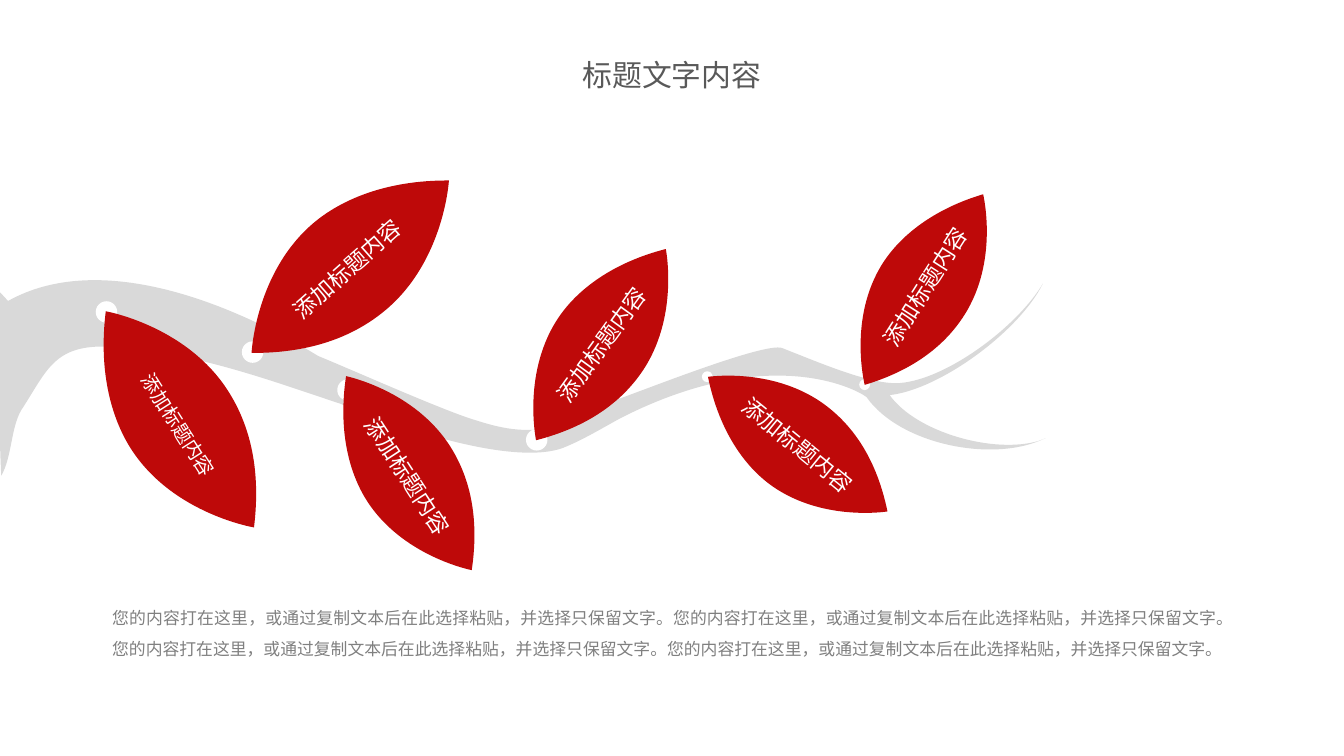
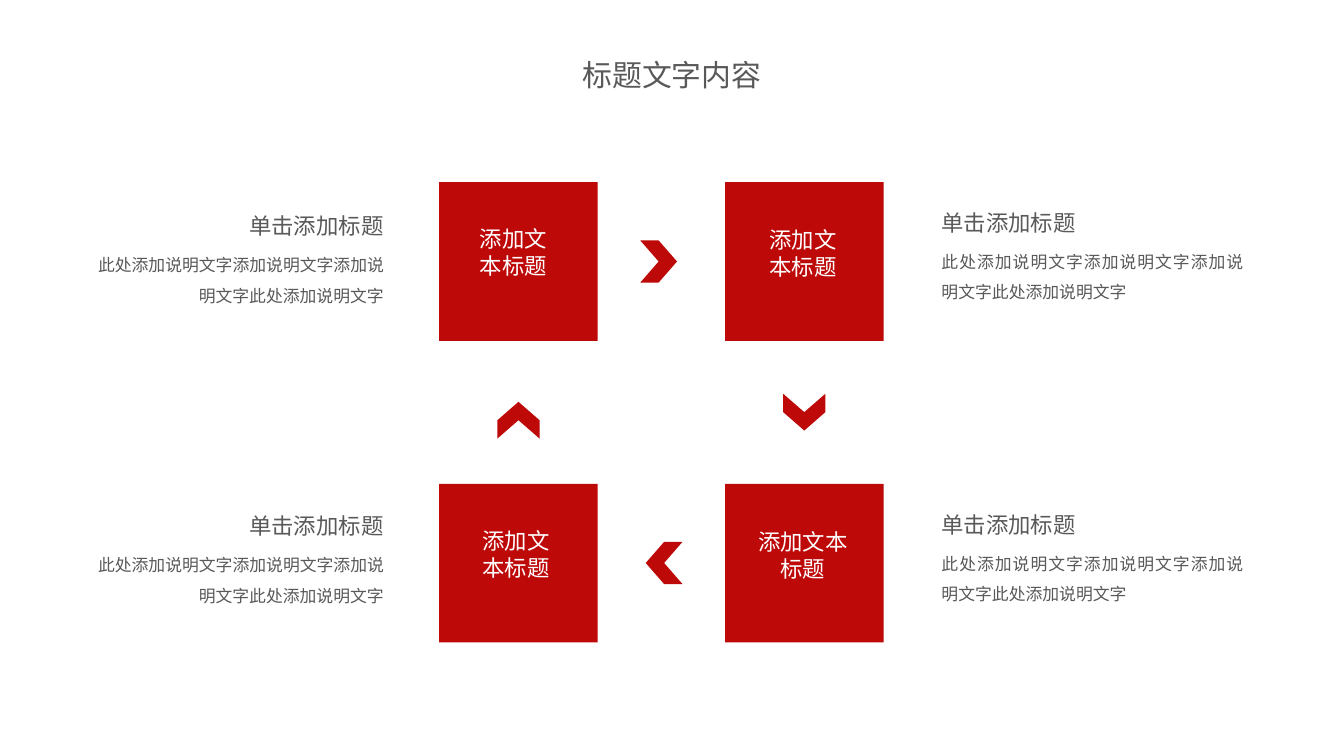
from dataclasses import dataclass
from math import cos, radians, sin

from lxml.etree import SubElement
from pptx import Presentation
from pptx.dml.color import RGBColor
from pptx.enum.shapes import MSO_SHAPE
from pptx.enum.text import MSO_ANCHOR, PP_ALIGN
from pptx.oxml.ns import qn
from pptx.util import Pt

COLORS = {"red": "BE0909", "branch": "D9D9D9", "white": "FFFFFF",
          "dark": "595959", "gray": "808080"}
SANS = "Noto Sans CJK SC"
SERIF = "Times New Roman"
Point = tuple[float, float]
Curve = tuple[Point, Point, Point]


@dataclass(frozen=True)
class Frame:
    left: float
    top: float
    width: float
    height: float
    rotation: float = 0

    def lengths(self) -> list[Pt]:
        return [Pt(value) for value in (self.left, self.top, self.width, self.height)]


@dataclass(frozen=True)
class Style:
    size: float
    color: str
    align: PP_ALIGN = PP_ALIGN.CENTER
    font: str = SANS
    line_spacing: float | None = None
    space_before: float | None = None


@dataclass(frozen=True)
class Leaf:
    blade: Frame
    label: Frame
    size: float = 12


@dataclass(frozen=True)
class Step:
    left: float
    top: float
    label: Frame
    lines: tuple[str, ...]
    filled: bool = True


@dataclass(frozen=True)
class Note:
    frame: Frame
    align: PP_ALIGN


# Shared drawing helpers
def paint(shape, color: str) -> None:
    shape.shadow.inherit = False
    shape.fill.solid()
    shape.fill.fore_color.rgb = RGBColor.from_string(COLORS[color])
    shape.line.fill.background()


def add_preset(shapes, kind: MSO_SHAPE, frame: Frame, color: str):
    shape = shapes.add_shape(kind, *frame.lengths())
    shape.rotation = frame.rotation
    paint(shape, color)
    return shape


def write(box, lines: list[tuple[str, Style]]) -> None:
    text_frame = box.text_frame
    text_frame.word_wrap = True
    text_frame.vertical_anchor = MSO_ANCHOR.TOP
    for index, (text, style) in enumerate(lines):
        para = text_frame.add_paragraph() if index else text_frame.paragraphs[0]
        para.alignment = style.align
        if style.line_spacing:
            para.line_spacing = style.line_spacing
        if style.space_before:
            para.space_before = Pt(style.space_before)
        span = para.add_run()
        span.text = text
        span.font.size = Pt(style.size)
        span.font.name = style.font
        span.font.color.rgb = RGBColor.from_string(COLORS[style.color])
        SubElement(span.font._element, qn("a:ea")).set("typeface", SANS)


def add_text(shapes, frame: Frame, lines: list[tuple[str, Style]]):
    box = shapes.add_textbox(*frame.lengths())
    box.rotation = frame.rotation
    write(box, lines)
    return box


def add_curves(shapes, frame: Frame, start: Point, curves: list[Curve], color: str) -> None:
    """Draw a closed outline whose points are shares of the frame."""
    left, top, width, height = frame.lengths()
    builder = shapes.build_freeform(left, top, scale=1.0)
    builder.add_line_segments([(left + width, top), (left + width, top + height),
                               (left, top + height)], close=True)
    shape = builder.convert_to_shape()
    shape.rotation = frame.rotation
    paint(shape, color)
    # Replace the straight frame by Bézier curves
    outline = next(shape._element.iter(qn("a:path")))
    for child in list(outline):
        outline.remove(child)
    commands = [("a:moveTo", (start,))] + [("a:cubicBezTo", curve) for curve in curves]
    for command, points in commands:
        segment = SubElement(outline, qn(command))
        for x, y in points:
            corner = SubElement(segment, qn("a:pt"))
            corner.set("x", str(round(x * width)))
            corner.set("y", str(round(y * height)))
    SubElement(outline, qn("a:close"))


def add_page(deck):
    page = deck.slides.add_slide(deck.slide_layouts[6])
    add_text(page.shapes, Frame(257.8, 26.6, 204.5, 26.6),
             [("标题文字内容", Style(16, "dark"))])
    return page


# Branch, with points as they lie on the slide after turning
BRANCH = Frame(-5.8, 97.9, 567.4, 210.2, 11.3)
BRANCH_START = (178, 214.5)
BRANCH_CURVES = [
    ((204.5, 226), (276.5, 252), (304, 239)),
    ((314, 234.7), (323.3, 229), (332.6, 224)),
    ((417.6, 180.7), (465, 212.4), (464.4, 213)),
    ((482.4, 238.3), (532.8, 248.4), (560.2, 234.7)),
    ((559.4, 235.4), (558, 235.4), (556.6, 236.2)),
    ((532.8, 243.4), (491, 231.8), (476.6, 211.7)),
    ((503.3, 208.8), (545.8, 177.8), (558.7, 152)),
    ((545, 175), (507.6, 203), (482.4, 205.2)),
    ((467.3, 206.6), (439.2, 194.4), (419, 186.5)),
    ((409.7, 182.9), (338.4, 211.7), (329, 214.6)),
    ((321, 216.7), (314, 221), (306.7, 224.6)),
    ((289.4, 233.3), (272.9, 231), (255.6, 225.4)),
    ((239.8, 221), (191.5, 199.4), (170.6, 190.8)),
    ((168.5, 190), (69.8, 124.6), (4.3, 161.3)),
    ((4.3, 161.3), (-1.4, 154.8), (-2.2, 154.8)),
    ((-0.7, 181.4), (-0.7, 228.2), (0.7, 254.9)),
    ((6.5, 244.8), (5.8, 229), (11.5, 219.6)),
    ((25.2, 198.7), (28.8, 184.3), (59, 185.8)),
    ((103, 188.6), (140.4, 202.3), (181.4, 216)),
]

# Leaf outline in shares of its width and height
LEAF_START = (0.5, 0)
LEAF_CURVES = [
    ((0.21, 0), (0, 0.51), (0, 0.51)),
    ((0.18, 0.87), (0.36, 1), (0.5, 1)),
    ((0.79, 1), (1, 0.48), (1, 0.48)),
    ((0.82, 0.12), (0.65, 0), (0.5, 0)),
]
LEAVES = [
    Leaf(Frame(117.2, 112.4, 140.4, 60.5, 139.6), Frame(149.6, 136.9, 72.7, 14.4, 318.4)),
    Leaf(Frame(259.8, 157.8, 123.8, 53.3, 124.9), Frame(285.8, 177.3, 72.7, 14.4, 305.9)),
    Leaf(Frame(434.6, 129.1, 120.2, 51.8, 122.6), Frame(459.3, 146.4, 72.7, 14.4, 302.5)),
    Leaf(Frame(25.9, 194.6, 140.4, 60.5, 56.3), Frame(63.8, 221.1, 63.4, 13, 57.5), 10.5),
    Leaf(Frame(156.9, 227, 123.8, 53.3, 57.8), Frame(182.2, 247.8, 72.7, 14.4, 56.9)),
    Leaf(Frame(367.1, 212.3, 120.2, 51.8, 37.6), Frame(391, 231.1, 72.7, 14.4, 39.3)),
]
# Left, top and diameter of each bud
BUDS = [(129.6, 182.9, 11.5), (51.3, 161.4, 11.5), (180.7, 203.2, 11.5),
        (281.8, 229.9, 11.5), (376, 198.9, 5.8), (460.3, 203.2, 5.8)]
SUMMARY = "您的内容打在这里，或通过复制文本后在此选择粘贴，并选择只保留文字。" * 4


def branch_share(point: Point) -> Point:
    """Turn a slide point back and express it in shares of the branch frame."""
    angle = radians(BRANCH.rotation)
    x = point[0] - BRANCH.left - BRANCH.width / 2
    y = point[1] - BRANCH.top - BRANCH.height / 2
    return (0.5 + (x * cos(angle) + y * sin(angle)) / BRANCH.width,
            0.5 + (y * cos(angle) - x * sin(angle)) / BRANCH.height)


def add_leaf(page, leaf: Leaf) -> None:
    shapes = page.shapes.add_group_shape().shapes
    add_curves(shapes, leaf.blade, LEAF_START, LEAF_CURVES, "red")
    box = add_text(shapes, leaf.label, [("添加标题内容", Style(leaf.size, "white"))])
    text_frame = box.text_frame
    text_frame.word_wrap = False
    text_frame.vertical_anchor = MSO_ANCHOR.MIDDLE
    text_frame.margin_left = text_frame.margin_right = Pt(0)
    text_frame.margin_top = text_frame.margin_bottom = Pt(0)


def build_branch_page(deck) -> None:
    page = add_page(deck)
    curves = [tuple(branch_share(point) for point in curve) for curve in BRANCH_CURVES]
    add_curves(page.shapes, BRANCH, branch_share(BRANCH_START), curves, "branch")
    for left, top, size in BUDS:
        add_preset(page.shapes, MSO_SHAPE.OVAL, Frame(left, top, size, size), "white")
    for leaf in LEAVES:
        add_leaf(page, leaf)
    add_text(page.shapes, Frame(53, 316.8, 614.2, 40.3),
             [(SUMMARY, Style(9, "gray", PP_ALIGN.JUSTIFY, SERIF, 1.5))])


# Cycle of four steps
STEP_SIZE = 85
COLUMNS = (235.2, 388.4)
ROWS = (97.6, 259.2)
SPLIT_LABEL = ("添加文", "本标题")
WHOLE_LABEL = ("添加文本标题",)
STEPS = [
    Step(COLUMNS[0], ROWS[0], Frame(243.7, 117.1, 62.6, 36), SPLIT_LABEL, False),
    Step(COLUMNS[1], ROWS[0], Frame(398.5, 117.8, 63.4, 36), SPLIT_LABEL),
    Step(COLUMNS[0], ROWS[1], Frame(246.5, 278.9, 59.8, 36), WHOLE_LABEL),
    Step(COLUMNS[1], ROWS[1], Frame(395.6, 279.4, 69.1, 36), WHOLE_LABEL),
]
CHEVRONS = [Frame(left, top, 19.7, 22.6, rotation) for left, top, rotation in (
    (421, 209.5, 90), (343, 128.8, 0), (267.9, 213.8, 270), (345.9, 290.3, 180))]
NOTES = [
    Note(Frame(497.3, 108.5, 175.7, 64.8), PP_ALIGN.JUSTIFY),
    Note(Frame(36.9, 110.2, 175.7, 63.4), PP_ALIGN.RIGHT),
    Note(Frame(497.3, 270.3, 175.7, 64.8), PP_ALIGN.JUSTIFY),
    Note(Frame(36.9, 271, 175.7, 63.4), PP_ALIGN.RIGHT),
]


def add_step(page, step: Step) -> None:
    shapes = page.shapes.add_group_shape().shapes
    add_preset(shapes, MSO_SHAPE.RECTANGLE,
               Frame(step.left, step.top, STEP_SIZE, STEP_SIZE), "red")
    lines = [(line, Style(12, "white")) for line in step.lines]
    if step.filled:
        write(add_preset(shapes, MSO_SHAPE.RECTANGLE, step.label, "red"), lines)
    else:
        add_text(shapes, step.label, lines)


def build_cycle_page(deck) -> None:
    page = add_page(deck)
    for chevron in CHEVRONS:
        add_preset(page.shapes, MSO_SHAPE.CHEVRON, chevron, "red")
    for step in STEPS:
        add_step(page, step)
    for note in NOTES:
        add_text(page.shapes, note.frame, [
            ("单击添加标题", Style(12, "dark", note.align)),
            ("此处添加说明文字添加说明文字添加说明文字此处添加说明文字",
             Style(9, "dark", note.align, SANS, 1.5, 3)),
        ])


def main() -> None:
    deck = Presentation()
    deck.slide_width, deck.slide_height = Pt(720), Pt(405)
    build_branch_page(deck)
    build_cycle_page(deck)
    deck.save("out.pptx")


if __name__ == "__main__":
    main()
